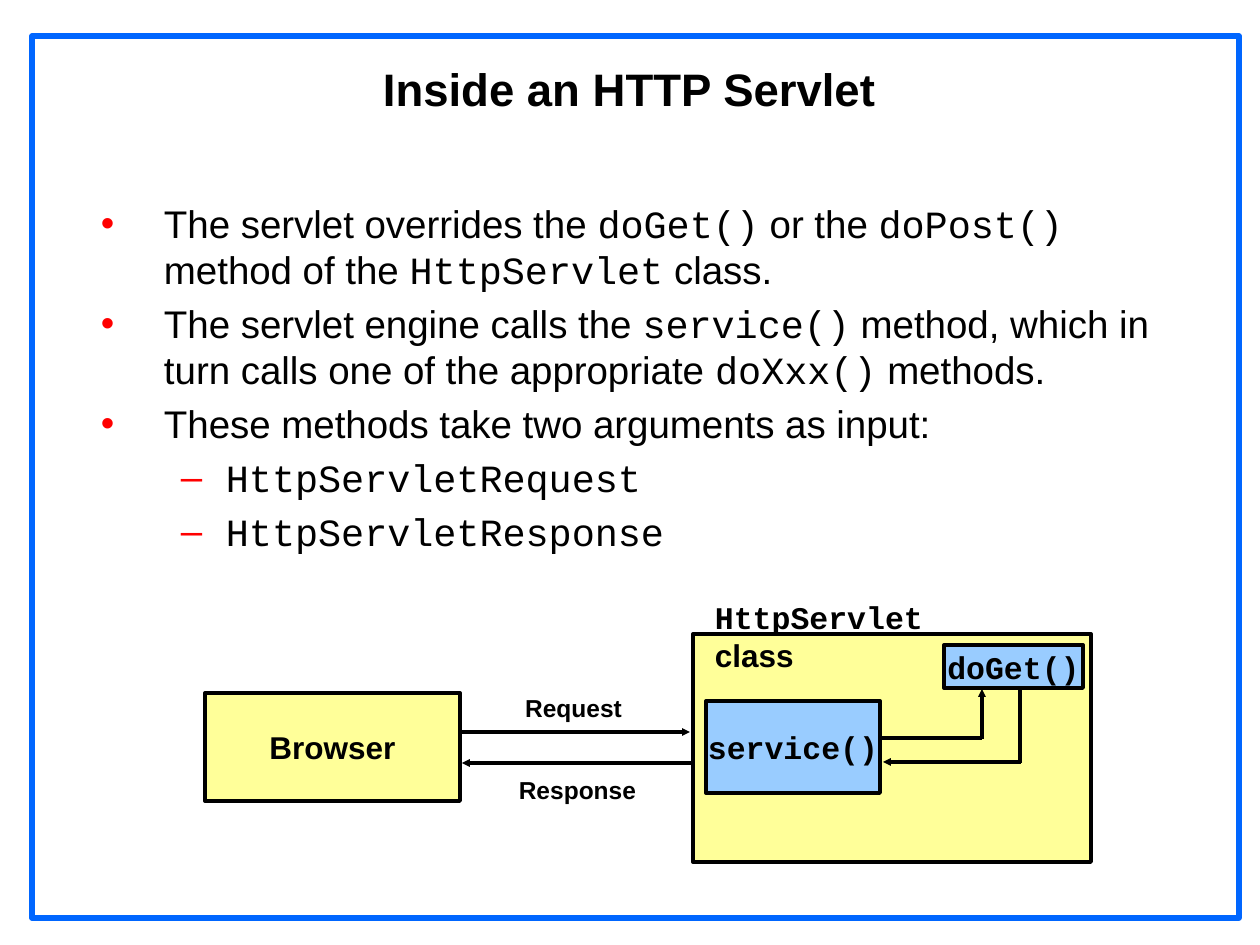
from lxml import etree
from pptx import Presentation
from pptx.dml.color import RGBColor
from pptx.enum.shapes import MSO_CONNECTOR, MSO_SHAPE
from pptx.enum.text import MSO_ANCHOR, MSO_AUTO_SIZE, PP_ALIGN
from pptx.oxml.ns import qn
from pptx.util import Pt

RECTANGLE = MSO_SHAPE.RECTANGLE
STRAIGHT = MSO_CONNECTOR.STRAIGHT
CENTER, LEFT = PP_ALIGN.CENTER, PP_ALIGN.LEFT
TOP, MIDDLE = MSO_ANCHOR.TOP, MSO_ANCHOR.MIDDLE
TITLE_ONLY = 5

SANS, MONO = "Arial", "Courier New"
BLACK, WHITE, RED = "000000", "FFFFFF", "FF0000"
FRAME_BLUE, YELLOW, LIGHT_BLUE = "0066FF", "FFFF99", "99CCFF"

# Runs alternate between sans and mono, starting with sans
BULLETS = [
    (1, ["The servlet overrides the ", "doGet()", " or the ", "doPost()",
         " method of the ", "HttpServlet", " class."]),
    (1, ["The servlet engine calls the ", "service()",
         " method, which in turn calls one of the appropriate ", "doXxx()", " methods."]),
    (1, ["These methods take two arguments as input:"]),
    (2, ["", "HttpServletRequest"]),
    (2, ["", "HttpServletResponse"]),
]
# Level: bullet sign, left margin, hanging indent
LEVELS = {1: ("•", 79, 63), 2: ("–", 141, 45)}


def px(length):
    return round(length * 914400 / 126)


def color(value):
    return RGBColor.from_string(value)


def add_run(paragraph, text, font_name, size, bold=False):
    run = paragraph.add_run()
    run.text = text
    run.font.name = font_name
    run.font.size = Pt(size)
    run.font.bold = bold
    run.font.color.rgb = color(BLACK)


def set_frame(text_frame, margins, anchor=TOP, wrap=True):
    text_frame.auto_size = MSO_AUTO_SIZE.NONE
    text_frame.word_wrap = wrap
    text_frame.vertical_anchor = anchor
    horizontal, vertical = map(px, margins)
    text_frame.margin_left = text_frame.margin_right = horizontal
    text_frame.margin_top = text_frame.margin_bottom = vertical


def add_box(slide, box, fill, line=BLACK, width=2.25, text="", font_name=SANS):
    shape = slide.shapes.add_shape(RECTANGLE, *map(px, box))
    shape.shadow.inherit = False
    shape.fill.solid()
    shape.fill.fore_color.rgb = color(fill)
    shape.line.color.rgb = color(line)
    shape.line.width = Pt(width)
    if text:
        set_frame(shape.text_frame, (13, 6), MIDDLE, wrap=False)
        paragraph = shape.text_frame.paragraphs[0]
        paragraph.alignment = CENTER
        add_run(paragraph, text, font_name, 18, bold=True)


def add_label(slide, box, runs, size, alignment=CENTER):
    shape = slide.shapes.add_textbox(*map(px, box))
    set_frame(shape.text_frame, (13, 6))
    paragraph = shape.text_frame.paragraphs[0]
    paragraph.alignment = alignment
    for text, font_name in runs:
        add_run(paragraph, text, font_name, size, bold=True)


def add_line(slide, start, end, arrow=False):
    connector = slide.shapes.add_connector(STRAIGHT, *map(px, start + end))
    connector.line.color.rgb = color(BLACK)
    connector.line.width = Pt(2.25)
    if arrow:
        etree.SubElement(connector.line._get_or_add_ln(), qn("a:tailEnd"),
                         type="triangle", w="sm", len="sm")
    etree.SubElement(connector._element.spPr, qn("a:effectLst"))


def add_title(slide, box, text):
    title = slide.shapes.title
    title.left, title.top, title.width, title.height = map(px, box)
    set_frame(title.text_frame, (1, 1))
    paragraph = title.text_frame.paragraphs[0]
    paragraph.alignment = CENTER
    paragraph.space_before = Pt(5.2)
    add_run(paragraph, text, SANS, 26, bold=True)


def set_bullet(paragraph, level):
    sign, margin, hanging = LEVELS[level]
    properties = paragraph._p.get_or_add_pPr()
    properties.set("marL", str(px(margin)))
    properties.set("indent", str(-px(hanging)))
    bullet_color = etree.SubElement(properties, qn("a:buClr"))
    etree.SubElement(bullet_color, qn("a:srgbClr"), val=RED)
    etree.SubElement(properties, qn("a:buFont"), typeface=SANS)
    etree.SubElement(properties, qn("a:buChar"), char=sign)


def add_bullets(slide, box, items):
    text_frame = slide.shapes.add_textbox(*map(px, box)).text_frame
    set_frame(text_frame, (1, 1))
    for index, (level, texts) in enumerate(items):
        paragraph = text_frame.add_paragraph() if index else text_frame.paragraphs[0]
        paragraph.level = level - 1
        paragraph.space_before = Pt(4.4)
        set_bullet(paragraph, level)
        for position, text in enumerate(texts):
            if text:
                add_run(paragraph, text, MONO if position % 2 else SANS, 22)


def main():
    presentation = Presentation()
    presentation.slide_width, presentation.slide_height = px(1260), px(945)
    slide = presentation.slides.add_slide(presentation.slide_layouts[TITLE_ONLY])

    # Frame, title and bullet list
    add_box(slide, (32, 36, 1207, 882), WHITE, FRAME_BLUE, 3)
    # The title comes after the frame so that the frame does not cover it
    slide.shapes._spTree.append(slide.shapes.title._element)
    add_title(slide, (84, 60, 1091, 121), "Inside an HTTP Servlet")
    add_bullets(slide, (84, 199, 1091, 363), BULLETS)

    # Browser and servlet class
    add_box(slide, (693, 634, 398, 228), YELLOW)
    add_box(slide, (205, 693, 255, 108), YELLOW, text="Browser")
    add_label(slide, (702, 592, 280, 86),
              [("HttpServlet ", MONO), ("class", SANS)], 18, LEFT)
    add_box(slide, (706, 701, 174, 92), LIGHT_BLUE, text="service()", font_name=MONO)
    add_box(slide, (944, 645, 139, 43), LIGHT_BLUE, text="doGet()", font_name=MONO)

    # Request and response between browser and servlet
    add_line(slide, (461, 732), (690, 732), arrow=True)
    add_line(slide, (693, 763), (462, 763), arrow=True)
    add_label(slide, (438, 687, 271, 42), [("Request", SANS)], 14)
    add_label(slide, (442, 769, 271, 42), [("Response", SANS)], 14)

    # Calls between service() and doGet()
    add_line(slide, (881, 738), (982, 738))
    add_line(slide, (982, 739), (982, 689), arrow=True)
    add_line(slide, (1020, 689), (1020, 763))
    add_line(slide, (1021, 762), (883, 762), arrow=True)

    presentation.save("out.pptx")


if __name__ == "__main__":
    main()
